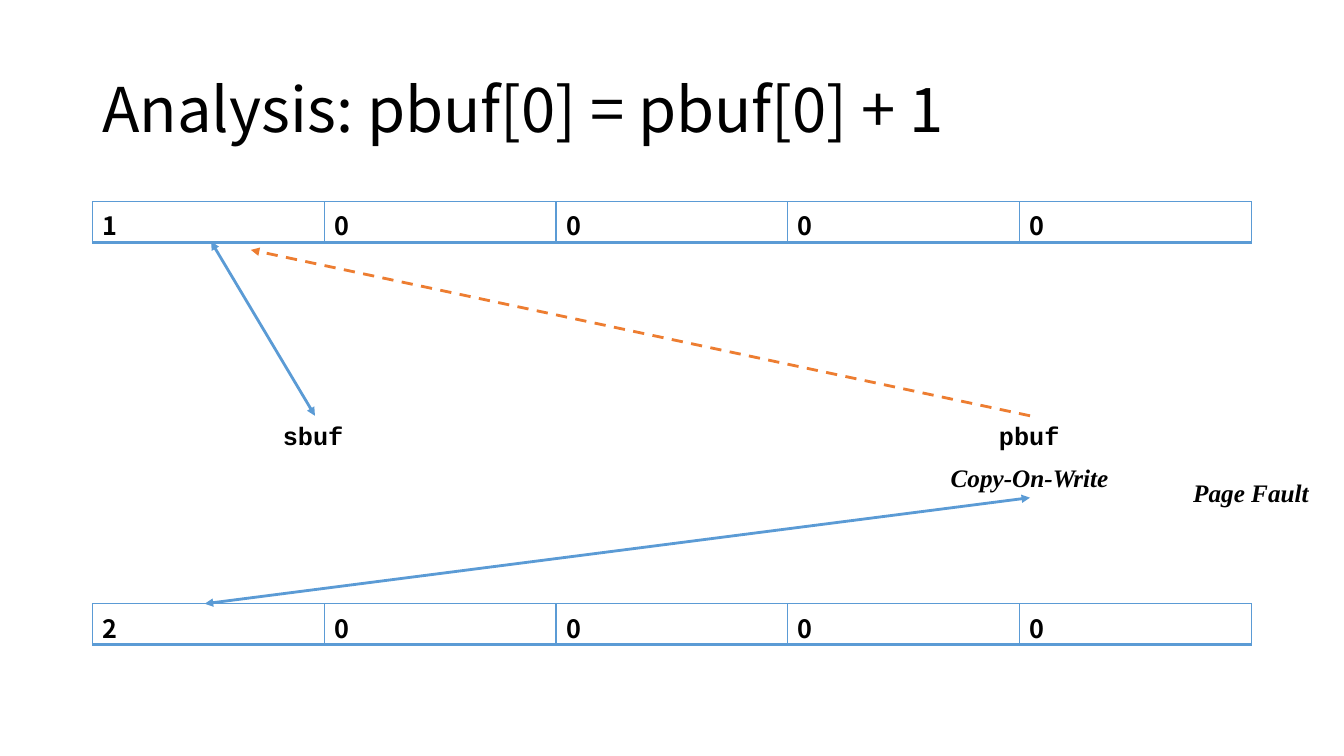
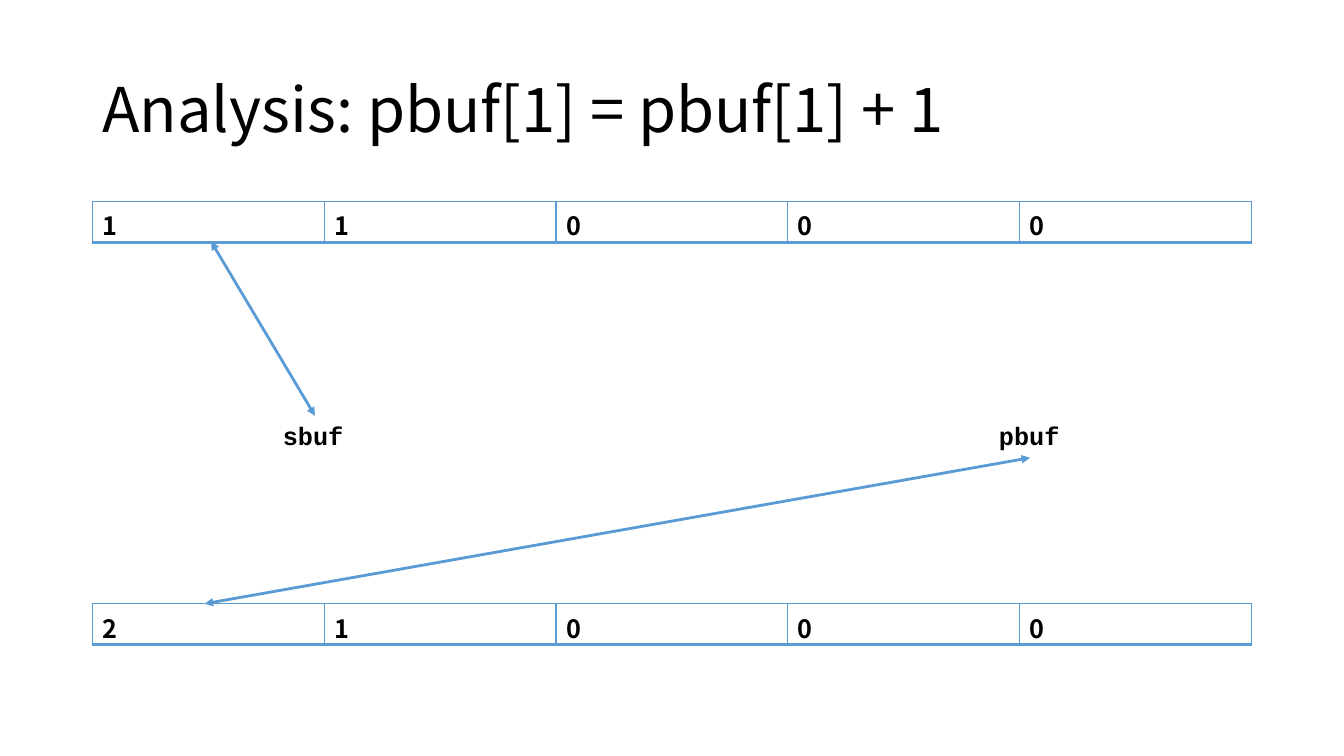
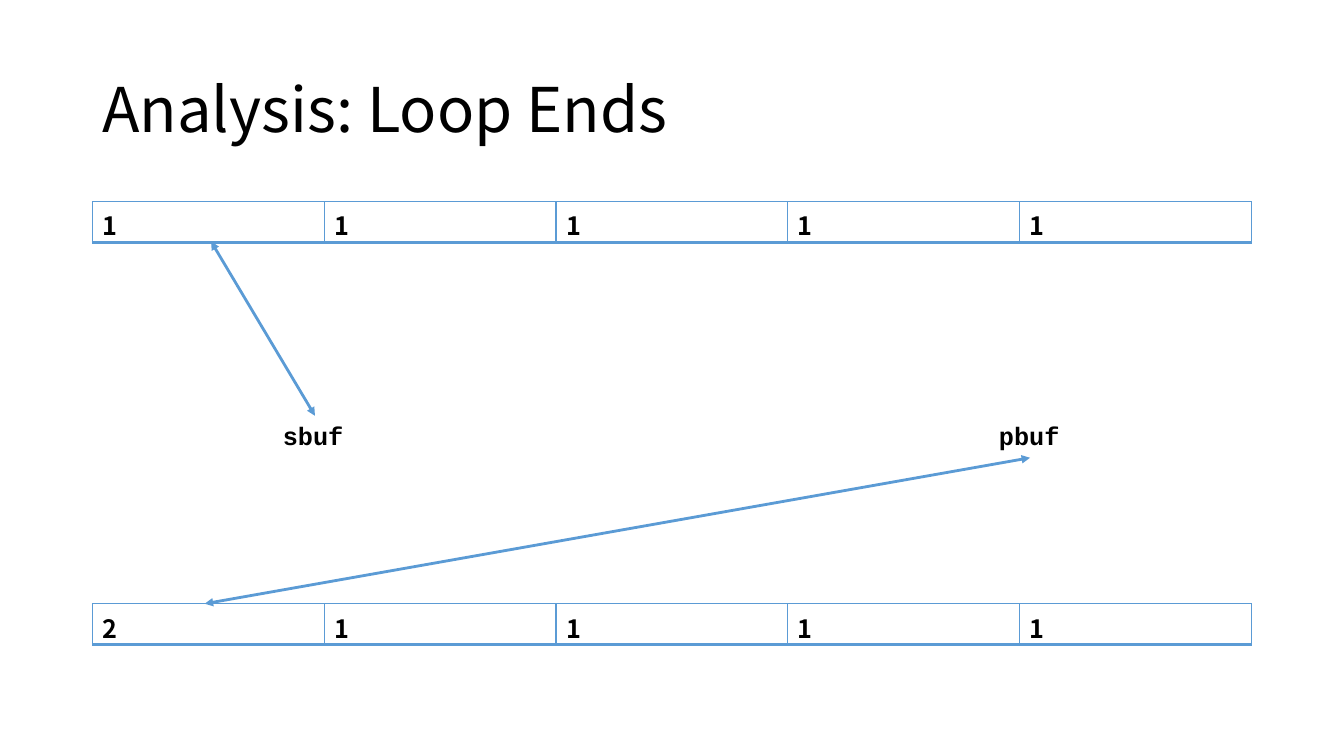
from lxml import etree
from pptx import Presentation
from pptx.dml.color import RGBColor
from pptx.enum.dml import MSO_LINE
from pptx.enum.shapes import MSO_CONNECTOR
from pptx.enum.text import MSO_ANCHOR, MSO_AUTO_SIZE
from pptx.oxml.ns import qn
from pptx.util import Emu, Pt

PX = 9525
DASH = MSO_LINE.DASH
STRAIGHT = MSO_CONNECTOR.STRAIGHT
MIDDLE = MSO_ANCHOR.MIDDLE
FIT_SHAPE = MSO_AUTO_SIZE.SHAPE_TO_FIT_TEXT
BLANK_LAYOUT = 6

COLORS = {"text": "000000", "blue": "5B9BD5", "orange": "ED7D31"}
SANS, MONO, SERIF = "Noto Sans CJK SC", "Courier New", "Times New Roman"
BORDERS = {"a:lnL": 1, "a:lnR": 1, "a:lnT": 1, "a:lnB": 2}

SLIDE_SIZE = (1280, 720)
TITLE_BOX = (88, 38, 1104, 139)
DIAGRAM_BOX = (88, 192, 1104, 422)
ROW_HEIGHT = 39
LABEL_HEIGHT = 38
LABEL_TOP = 204

ANALYSES = [
    ("Analysis: pbuf[0] = pbuf[0] + 1", "10000", "20000", True),
    ("Analysis: pbuf[1] = pbuf[1] + 1", "11000", "21000", False),
    ("Analysis: Loop Ends", "11111", "21111", False),
]


def px(*lengths):
    """Turn px lengths into EMU."""
    return [Emu(length * PX) for length in lengths]


def add_run(paragraph, text, font_name, size=18, bold=True, italic=False):
    """Append one formatted run to a paragraph."""
    run = paragraph.add_run()
    run.text = text
    run.font.name = font_name
    run.font.size = Pt(size)
    run.font.bold = bold
    run.font.italic = italic
    run.font.color.rgb = RGBColor.from_string(COLORS["text"])


def add_title(slide, box, text):
    """Place the slide title, centred vertically in its box."""
    frame = slide.shapes.add_textbox(*px(*box)).text_frame
    frame.word_wrap = True
    frame.vertical_anchor = MIDDLE
    paragraph = frame.paragraphs[0]
    paragraph.line_spacing = 0.9
    add_run(paragraph, text, SANS, size=44, bold=False)


def add_label(slide, box, text, font_name, italic=False):
    """Place a one-line bold label that fits its text."""
    frame = slide.shapes.add_textbox(*px(*box)).text_frame
    frame.word_wrap = False
    frame.auto_size = FIT_SHAPE
    add_run(frame.paragraphs[0], text, font_name, italic=italic)


def add_arrow(slide, box, start, end, color="blue", dashed=False):
    """Draw an arrow between two points of the box, two-headed unless dashed."""
    left, top = box[:2]
    ends = px(left + start[0], top + start[1], left + end[0], top + end[1])
    arrow = slide.shapes.add_connector(STRAIGHT, *ends)
    arrow.line.color.rgb = RGBColor.from_string(COLORS[color])
    arrow.line.width = Pt(2)
    if dashed:
        arrow.line.dash_style = DASH
    properties = arrow.element.spPr
    outline = properties.get_or_add_ln()
    for tag in ("a:tailEnd",) if dashed else ("a:headEnd", "a:tailEnd"):
        etree.SubElement(outline, qn(tag), type="triangle")
    etree.SubElement(properties, qn("a:effectLst"))


def add_borders(cell):
    """Outline a table cell, heavier below."""
    properties = cell._tc.get_or_add_tcPr()
    for tag, width in BORDERS.items():
        border = etree.SubElement(properties, qn(tag), w=str(Pt(width)))
        fill = etree.SubElement(border, qn("a:solidFill"))
        etree.SubElement(fill, qn("a:srgbClr"), val=COLORS["blue"])


def add_buffer(slide, box, values, tight=False):
    """Show buffer values as a one-row table with equal cells."""
    table = slide.shapes.add_table(1, len(values), *px(*box)).table
    table.first_row = False
    table.horz_banding = False
    for column, value in enumerate(values):
        table.columns[column].width = Emu(box[2] * PX // len(values))
        cell = table.cell(0, column)
        add_borders(cell)
        cell.fill.background()
        if tight:
            cell.margin_bottom = 0
        add_run(cell.text_frame.paragraphs[0], value, SANS)


def add_diagram(slide, box, shared_values, private_values, faulting):
    """Show both buffers, their pointers and, if faulting, the page copy."""
    left, top, width, height = box
    private_top = height - ROW_HEIGHT
    label_bottom = LABEL_TOP + LABEL_HEIGHT + 2
    add_buffer(slide, (left, top, width, ROW_HEIGHT), shared_values)
    for name, x in (("sbuf", 172), ("pbuf", 854)):
        add_label(slide, (left + x, top + LABEL_TOP, 78, LABEL_HEIGHT), name, MONO)
    add_arrow(slide, box, (212, LABEL_TOP), (113, 38))
    if faulting:
        for note, x, y, note_width in (
            ("Copy-On-Write", 808, label_bottom, 171),
            ("Page Fault", 1039, 258, 131),
        ):
            note_box = (left + x, top + y, note_width, LABEL_HEIGHT)
            add_label(slide, note_box, note, SERIF, italic=True)
        add_arrow(slide, box, (893, LABEL_TOP), (151, 46), "orange", dashed=True)
    pointer_top = label_bottom + LABEL_HEIGHT if faulting else label_bottom
    add_arrow(slide, box, (893, pointer_top), (107, private_top))
    private_box = (left, top + private_top, width, ROW_HEIGHT)
    add_buffer(slide, private_box, private_values, tight=True)


def main():
    """Build and save the presentation."""
    deck = Presentation()
    deck.slide_width, deck.slide_height = px(*SLIDE_SIZE)
    for title, shared_values, private_values, faulting in ANALYSES:
        slide = deck.slides.add_slide(deck.slide_layouts[BLANK_LAYOUT])
        add_title(slide, TITLE_BOX, title)
        add_diagram(slide, DIAGRAM_BOX, shared_values, private_values, faulting)
    deck.save("out.pptx")


if __name__ == "__main__":
    main()
